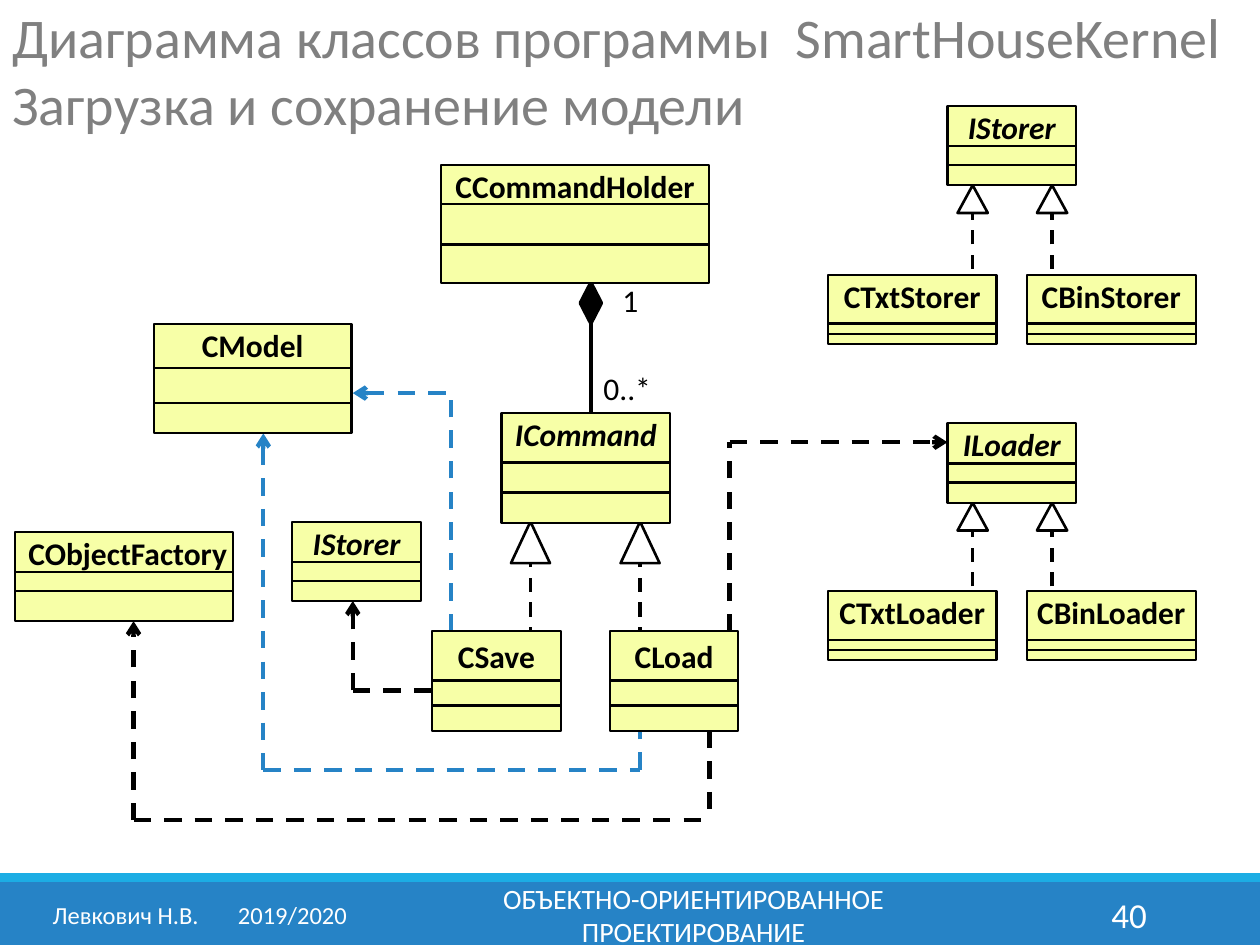
"""Build a UML class diagram slide about loading and saving a model."""
from lxml.etree import SubElement
from pptx import Presentation
from pptx.dml.color import RGBColor
from pptx.enum.dml import MSO_LINE
from pptx.enum.shapes import MSO_CONNECTOR, MSO_SHAPE
from pptx.enum.text import MSO_ANCHOR, PP_ALIGN
from pptx.oxml.ns import qn
from pptx.util import Inches, Pt

BLACK = RGBColor(0x00, 0x00, 0x00)
WHITE = RGBColor(0xFF, 0xFF, 0xFF)
GRAY = RGBColor(0x80, 0x80, 0x80)
BLUE = RGBColor(0x26, 0x83, 0xC6)
CYAN = RGBColor(0x1C, 0xAD, 0xE4)
YELLOW = RGBColor(0xF7, 0xFF, 0xA7)

BANDS = [((0, 7, 10, 0.5), BLUE), ((0, 6.93, 10, 0.07), CYAN)]

TEXTS = [
    (["Диаграмма классов программы  SmartHouseKernel", "Загрузка и сохранение модели"],
     (0, -0.03, 10, 1.18), 32, GRAY, PP_ALIGN.LEFT, MSO_ANCHOR.TOP),
    (["1"], (4.84, 2.18, 0.31, 0.4), 18, BLACK, PP_ALIGN.LEFT, MSO_ANCHOR.TOP),
    (["0..*"], (4.69, 2.88, 0.71, 0.4), 18, BLACK, PP_ALIGN.LEFT, MSO_ANCHOR.TOP),
    (["Левкович Н.В.\t2019/2020"], (0.32, 7.06, 2.61, 0.4), 14, WHITE,
     PP_ALIGN.LEFT, MSO_ANCHOR.MIDDLE),
    (["ОБЪЕКТНО-ОРИЕНТИРОВАННОЕ ПРОЕКТИРОВАНИЕ"], (3.02, 7.06, 4.97, 0.4), 16, WHITE,
     PP_ALIGN.CENTER, MSO_ANCHOR.MIDDLE),
    (["40"], (8.12, 7.06, 1.08, 0.4), 20, WHITE, PP_ALIGN.RIGHT, MSO_ANCHOR.MIDDLE),
]
DATE_TAB = 1.47

CLASS_SIZES = {
    "holder": (2.13, 0.94, 0.31, 0.63),
    "command": (1.34, 0.87, 0.39, 0.63),
    "model": (1.57, 0.87, 0.35, 0.63),
    "factory": (1.73, 0.71, 0.32, 0.47),
    "interface": (1.02, 0.63, 0.32, 0.47),
    "action": (1.02, 0.79, 0.39, 0.59),
    "leaf": (1.34, 0.55, 0.39, 0.47),
}
CLASSES = [
    ("CCommandHolder", "holder", 3.5, 1.31),
    ("ICommand", "command", 3.98, 3.28),
    ("CModel", "model", 1.22, 2.57),
    ("CObjectFactory", "factory", 0.12, 4.22),
    ("CLoad", "action", 4.84, 5.01),
    ("CSave", "action", 3.43, 5.01),
    ("IStorer", "interface", 2.32, 4.14),
    ("IStorer", "interface", 7.52, 0.84),
    ("ILoader", "interface", 7.52, 3.36),
    ("СTxtStorer", "leaf", 6.57, 2.18),
    ("CBinStorer", "leaf", 8.15, 2.18),
    ("СTxtLoader", "leaf", 6.57, 4.69),
    ("CBinLoader", "leaf", 8.15, 4.69),
]

REALIZATIONS = [
    (7.72, 4.85, 3.99, 0.24, 0.22),
    (8.35, 4.85, 3.99, 0.24, 0.22),
    (7.72, 2.33, 1.47, 0.24, 0.22),
    (8.35, 2.33, 1.47, 0.24, 0.22),
    (4.21, 5.48, 4.14, 0.31, 0.33),
    (5.08, 5.48, 4.14, 0.31, 0.33),
]

DEPENDENCIES = [
    ((5.79, 5.01), (5.79, 3.51), BLACK, None),
    ((5.79, 3.51), (7.52, 3.51), BLACK, "tailEnd"),
    ((2.8, 5.48), (3.82, 5.48), BLACK, None),
    ((2.8, 5.48), (2.8, 4.77), BLACK, "tailEnd"),
    ((5.63, 5.8), (5.63, 6.51), BLACK, None),
    ((1.06, 6.51), (5.63, 6.51), BLACK, None),
    ((1.06, 6.51), (1.06, 4.93), BLACK, "tailEnd"),
    ((3.58, 5.01), (3.58, 3.12), BLUE, None),
    ((2.8, 3.12), (3.58, 3.12), BLUE, "headEnd"),
    ((5.08, 6.11), (5.08, 5.8), BLUE, None),
    ((2.09, 6.11), (5.08, 6.11), BLUE, None),
    ((2.09, 3.44), (2.09, 6.11), BLUE, "headEnd"),
]


def set_values(target, values):
    for name, value in values.items():
        setattr(target, name, value)


def add_line(slide, start, end, width, color=BLACK, dashed=False, arrow=None):
    points = [Inches(value) for value in (*start, *end)]
    connector = slide.shapes.add_connector(MSO_CONNECTOR.STRAIGHT, *points)
    connector.line.color.rgb = color
    connector.line.width = Pt(width)
    if dashed:
        connector.line.dash_style = MSO_LINE.DASH
    if arrow:
        SubElement(connector.line._get_or_add_ln(), qn(f"a:{arrow}"), type="arrow")
    SubElement(connector._element.spPr, qn("a:effectLst"))


def add_figure(slide, kind, box, fill, line_width=None):
    shape = slide.shapes.add_shape(kind, *(Inches(value) for value in box))
    shape.shadow.inherit = False
    shape.fill.solid()
    shape.fill.fore_color.rgb = fill
    if line_width:
        shape.line.color.rgb = BLACK
        shape.line.width = Pt(line_width)
    else:
        shape.line.fill.background()
    return shape


def write_text(shape, lines, size, color, frame_format, paragraph_format, **font_format):
    frame = shape.text_frame
    set_values(frame, frame_format)
    frame.text = "\n".join(lines)
    for paragraph in frame.paragraphs:
        set_values(paragraph, paragraph_format)
        for run in paragraph.runs:
            set_values(run.font, {"name": "Calibri", "size": Pt(size), **font_format})
            run.font.color.rgb = color


def add_text(slide, lines, box, size, color, alignment, anchor):
    shape = slide.shapes.add_textbox(*(Inches(value) for value in box))
    write_text(shape, lines, size, color,
               {"word_wrap": True, "vertical_anchor": anchor}, {"alignment": alignment})
    for paragraph in shape.text_frame.paragraphs:
        if "\t" in lines[0]:
            tabs = SubElement(paragraph._p.get_or_add_pPr(), qn("a:tabLst"))
            SubElement(tabs, qn("a:tab"), pos=str(Inches(DATE_TAB)), algn="l")


def add_class(slide, name, kind, left, top):
    width, height, *dividers = CLASS_SIZES[kind]
    shape = add_figure(slide, MSO_SHAPE.RECTANGLE, (left, top, width, height), YELLOW, 1.25)
    frame_format = {
        "word_wrap": False,
        "vertical_anchor": MSO_ANCHOR.TOP,
        "margin_left": Inches(0.04 if kind == "leaf" else 0.1),
        "margin_right": Inches(0.04 if kind in ("leaf", "factory") else 0.1),
    }
    paragraph_format = {
        "alignment": PP_ALIGN.CENTER,
        "line_spacing": 1.0 if kind == "action" else 0.9,
    }
    write_text(shape, [name], 18, BLACK, frame_format, paragraph_format,
               bold=True, italic=name.startswith("I"))
    for offset in dividers:
        add_line(slide, (left, top + offset), (left + width, top + offset), 1.5)


def add_realization(slide, center, base, tip, width, height):
    add_line(slide, (center, base), (center, tip), 2, dashed=True)
    box = (center - width / 2, tip, width, height)
    add_figure(slide, MSO_SHAPE.ISOSCELES_TRIANGLE, box, WHITE, 1.5)


def main():
    presentation = Presentation()
    presentation.slide_width = Inches(10)
    presentation.slide_height = Inches(7.5)
    slide = presentation.slides.add_slide(presentation.slide_layouts[6])
    for box, color in BANDS:
        add_figure(slide, MSO_SHAPE.RECTANGLE, box, color)
    for realization in REALIZATIONS:
        add_realization(slide, *realization)
    add_line(slide, (4.69, 3.36), (4.69, 2.25), 2)
    add_figure(slide, MSO_SHAPE.DIAMOND, (4.61, 2.25, 0.16, 0.31), BLACK, 2.5)
    for start, end, color, arrow in DEPENDENCIES:
        add_line(slide, start, end, 2.5, color, True, arrow)
    for entry in CLASSES:
        add_class(slide, *entry)
    for text in TEXTS:
        add_text(slide, *text)
    presentation.save("out.pptx")


if __name__ == "__main__":
    main()
